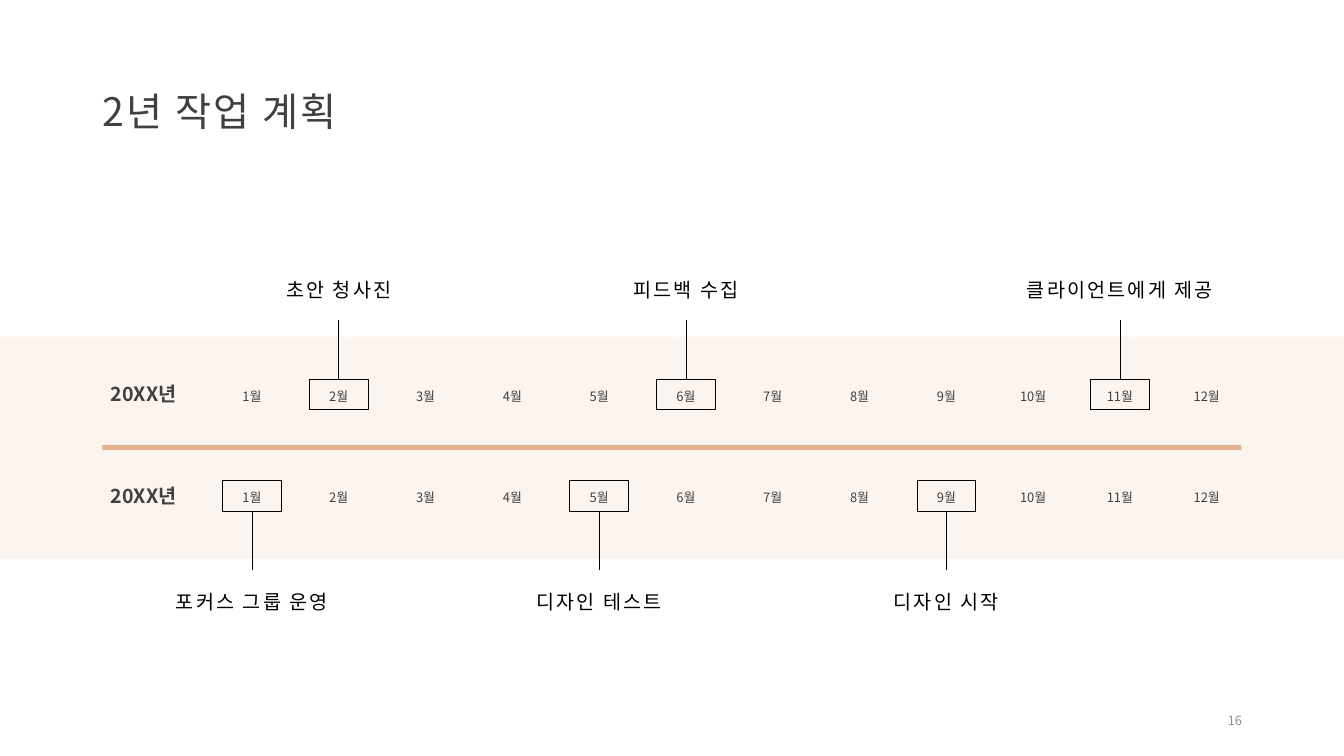
import pptx
import pptx.util
import pptx.dml.color
import pptx.enum.shapes
import pptx.enum.text
import lxml.etree
from pptx.oxml.ns import qn

Pt = pptx.util.Pt
ALIGN = pptx.enum.text.PP_ALIGN
ANCHOR = pptx.enum.text.MSO_ANCHOR
RECT = pptx.enum.shapes.MSO_SHAPE.RECTANGLE

# Content
TITLE = "2년 작업 계획"
PAGE = "16"
MONTHS = [f"{n}월" for n in range(1, 13)]
YEARS = [
    {"name": "20XX년", "box_top": 270.7, "line": (228.8, 270.7),
     "label_top": 175, "anchor": ANCHOR.BOTTOM,
     "events": {2: "초안 청사진", 6: "피드백 수집", 11: "클라이언트에게 제공"}},
    {"name": "20XX년", "box_top": 343.4, "line": (365, 407.5),
     "label_top": 409.7, "anchor": ANCHOR.TOP,
     "events": {1: "포커스 그룹 운영", 5: "디자인 테스트", 9: "디자인 시작"}},
]

THEME = {
    "font": "Noto Sans CJK KR",
    "text": "404040", "ink": "000000", "muted": "8C8C8C",
    "band": "FBF4EF", "bar": "E2B18D",
    "title": 28, "label": 14, "month": 9.2, "page": 9, "line": 0.5,
}

# Layout in points
FIRST_CENTER, PITCH = 180, 62
MONTH_W, MONTH_H = 50.4, 15.8
BOX_W, BOX_H = 42, 21.6
LABEL_W, LABEL_H = 162, 44

prs = pptx.Presentation()
prs.slide_width, prs.slide_height = Pt(960), Pt(540)
s = prs.slides.add_slide(prs.slide_layouts[6])


def rgb(name):
    return pptx.dml.color.RGBColor.from_string(THEME[name])


def add_text(text, x, y, w, h, size, color="text", align=ALIGN.LEFT,
             anchor=ANCHOR.MIDDLE, leading=1.0, before=0, spacing=0, bold=False):
    tf = s.shapes.add_textbox(Pt(x), Pt(y), Pt(w), Pt(h)).text_frame
    tf.word_wrap = True
    tf.vertical_anchor = anchor
    tf.text = text
    p = tf.paragraphs[0]
    p.alignment, p.line_spacing, p.space_before = align, leading, Pt(before)
    r = p.runs[0]
    r.font.name, r.font.size, r.font.bold = THEME["font"], Pt(THEME[size]), bold
    r.font.color.rgb = rgb(color)
    rPr = r.font._element
    if spacing:
        rPr.set("spc", str(int(spacing * 100)))
    lxml.etree.SubElement(rPr, qn("a:ea")).set("typeface", THEME["font"])


def add_rect(x, y, w, h, fill=None):
    sp = s.shapes.add_shape(RECT, Pt(x), Pt(y), Pt(w), Pt(h))
    sp.shadow.inherit = False
    if fill:
        sp.fill.solid()
        sp.fill.fore_color.rgb = rgb(fill)
        sp.line.fill.background()
    else:
        sp.fill.background()
        sp.line.color.rgb = rgb("ink")
        sp.line.width = Pt(THEME["line"])


def add_line(x, top, bottom):
    line = s.shapes.add_connector(pptx.enum.shapes.MSO_CONNECTOR.STRAIGHT,
                                  Pt(x), Pt(top), Pt(x), Pt(bottom))
    line.line.color.rgb = rgb("ink")
    line.line.width = Pt(THEME["line"])
    lxml.etree.SubElement(line._element.spPr, qn("a:effectLst"))


# Band, dividing bar and title
add_rect(0, 240.5, 960, 158.5, "band")
add_rect(73.2, 317.7, 813.6, 3.8, "bar")
add_text(TITLE, 66.2, 28.8, 828, 104.4, "title", leading=0.9, spacing=1.5)

# Two years of months, with marked events
for year in YEARS:
    top = year["box_top"]
    add_text(year["name"], 72, top - 6.1, 68.4, 36, "label",
             leading=0.9, before=10, bold=True)
    for i, month in enumerate(MONTHS):
        center = FIRST_CENTER + i * PITCH
        add_text(month, center - MONTH_W / 2, top + 5.1, MONTH_W, MONTH_H, "month",
                 align=ALIGN.CENTER, anchor=ANCHOR.TOP, leading=0.8, before=10)
        event = year["events"].get(i + 1)
        if event:
            add_line(center, *year["line"])
            add_rect(center - BOX_W / 2, top, BOX_W, BOX_H)
            add_text(event, center - LABEL_W / 2, year["label_top"], LABEL_W, LABEL_H,
                     "label", "ink", ALIGN.CENTER, year["anchor"],
                     leading=1.5, before=10, spacing=1.5)

# Page number
add_text(PAGE, 678.2, 500.4, 216, 28.8, "page", "muted", ALIGN.RIGHT)

prs.save("out.pptx")
